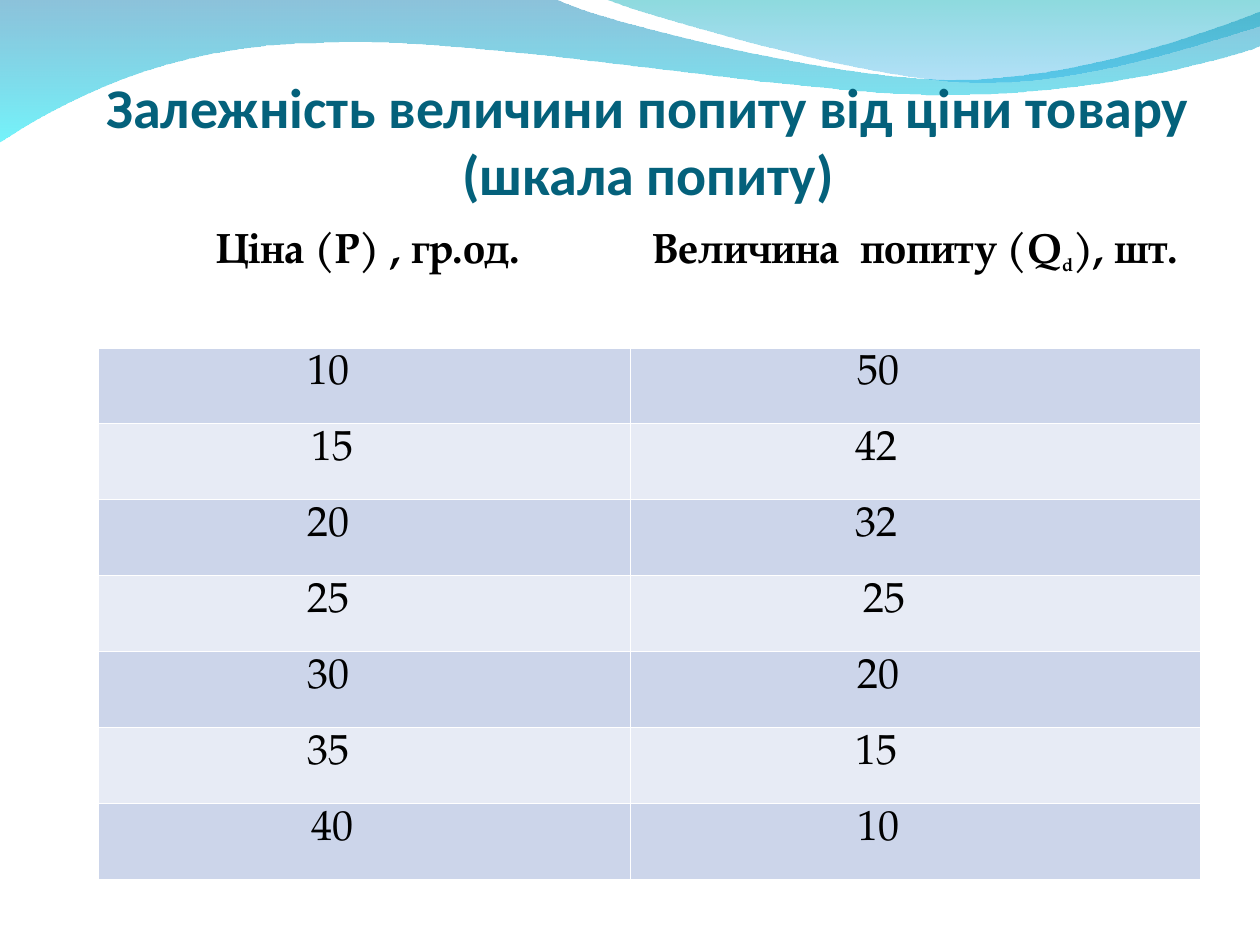
from lxml import etree
from pptx import Presentation
from pptx.dml.color import RGBColor
from pptx.enum.lang import MSO_LANGUAGE_ID
from pptx.enum.text import MSO_ANCHOR, MSO_AUTO_SIZE, PP_ALIGN
from pptx.oxml.ns import qn
from pptx.util import Inches, Pt

CENTER, LEFT = PP_ALIGN.CENTER, PP_ALIGN.LEFT
BOTTOM, NO_FIT = MSO_ANCHOR.BOTTOM, MSO_AUTO_SIZE.NONE
UKRAINIAN = MSO_LANGUAGE_ID.UKRAINIAN

COLORS = {
    "title": "04617B", "text": "000000", "white": "FFFFFF",
    "band_dark": "CCD5EA", "band_light": "E7EBF5",
    "wave_blue": "0079AF", "wave_cyan": "00EBF8",
    "crest_teal": "00ADB6", "crest_blue": "009BE5",
}
TABLE_FONT = "TeX Gyre Pagella"

# Each wave: start point, segments (2 numbers = line, 6 = cubic curve),
# gradient stops from top to bottom as (colour, opacity in percent).
WAVES = [
    ((0, -0.01),
     [(4.4, -0.01), (4.76, 0.17, 6.64, 0.63, 7.58, 0.63),
      (8.53, 0.63, 9.58, 0.26, 10, 0.09), (10.01, 0.36),
      (9.83, 0.44, 8.7, 0.76, 7.46, 0.75), (6.22, 0.75, 3.82, 0.28, 2.57, 0.34),
      (1.29, 0.35, 0.46, 0.83, -0.01, 1.13)],
     [("wave_blue", 45), ("wave_cyan", 55)]),
    ((4.79, -0.01),
     [(5.09, 0.11, 6.82, 0.62, 7.69, 0.65), (8.56, 0.69, 9.61, 0.32, 10, 0.21),
      (10, 0)],
     [("crest_teal", 45), ("crest_blue", 30)]),
]

HEADINGS = [
    [("Ціна (Р) , гр.од.", 24, None)],
    [("Величина  попиту (Q", 24, None), ("d", 18, -25), ("), шт.", 24, None)],
]
# Price and quantity, each with its indent in inches
DEMAND = [
    ((10, 1.66), (50, 1.81)), ((15, 1.69), (42, 1.79)), ((20, 1.66), (32, 1.79)),
    ((25, 1.66), (25, 1.85)), ((30, 1.66), (20, 1.81)), ((35, 1.66), (15, 1.79)),
    ((40, 1.69), (10, 1.81)),
]
TABLE_HEIGHT, HEADER_HEIGHT = 5.18, 0.96


def bend_segments(wave, segments):
    """Replace the straight segments that stand for cubic curves."""
    for line, segment in zip(list(wave._element.iter(qn("a:lnTo"))), segments):
        if len(segment) == 6:
            curve = etree.Element(qn("a:cubicBezTo"))
            for x, y in zip(segment[::2], segment[1::2]):
                point = etree.SubElement(curve, qn("a:pt"))
                point.set("x", str(Inches(x) - wave.left))
                point.set("y", str(Inches(y) - wave.top))
            line.getparent().replace(line, curve)


def add_span(para, text, size, font, color, bold):
    span = para.add_run()
    span.text = text
    span.font.size = Pt(size)
    span.font.name = font
    span.font.bold = bold
    span.font.language_id = UKRAINIAN
    span.font.color.rgb = RGBColor.from_string(COLORS[color])
    return span


deck = Presentation()
deck.slide_width, deck.slide_height = Inches(10), Inches(7.5)
page = deck.slides.add_slide(deck.slide_layouts[5])

# Waves along the top edge
for start, segments, stops in WAVES:
    builder = page.shapes.build_freeform(Inches(start[0]), Inches(start[1]), scale=1.0)
    ends = [(Inches(segment[-2]), Inches(segment[-1])) for segment in segments]
    builder.add_line_segments(ends, close=True)
    wave = builder.convert_to_shape()
    bend_segments(wave, segments)
    wave.shadow.inherit = False
    wave.line.fill.background()
    wave.fill.gradient()
    wave.fill.gradient_angle = 270
    for stop, (color, opacity) in zip(wave.fill.gradient_stops, stops):
        stop.color.rgb = RGBColor.from_string(COLORS[color])
    for node, (color, opacity) in zip(wave._element.spPr.iter(qn("a:srgbClr")), stops):
        etree.SubElement(node, qn("a:alpha")).set("val", str(opacity * 1000))

# Title, in front of the waves
title = page.shapes.title
page.shapes._spTree.append(title._element)
title.left, title.top = Inches(0.55), Inches(0.47)
title.width, title.height = Inches(9.19), Inches(1.17)
frame = title.text_frame
frame.word_wrap, frame.auto_size, frame.vertical_anchor = True, NO_FIT, BOTTOM
frame.margin_left = frame.margin_right = frame.margin_bottom = 0
frame.margin_top = Inches(0.05)
para = frame.paragraphs[0]
para.alignment = CENTER
add_span(para, "Залежність величини попиту від ціни товару", 32, "Calibri", "title", True)
para.add_line_break()
add_span(para, "(шкала попиту)", 32, "Calibri", "title", True)

# Demand table
table = page.shapes.add_table(len(DEMAND) + 1, 2, Inches(0.78), Inches(1.8),
                              Inches(8.75), Inches(TABLE_HEIGHT)).table
for column, width in zip(table.columns, (4.22, 4.53)):
    column.width = Inches(width)
row_height = (TABLE_HEIGHT - HEADER_HEIGHT) / len(DEMAND)
for index, row in enumerate(table.rows):
    row.height = Inches(row_height if index else HEADER_HEIGHT)

for column, spans in enumerate(HEADINGS):
    cell = table.cell(0, column)
    para = cell.text_frame.paragraphs[0]
    para.alignment = CENTER if column else LEFT
    if column == 0:
        cell.margin_left = Inches(0.94)
    for text, size, baseline in spans:
        span = add_span(para, text, size, TABLE_FONT, "text", True)
        if baseline:
            span.font._element.set("baseline", str(baseline * 1000))

for index, values in enumerate(DEMAND, start=1):
    for column, (value, indent) in enumerate(values):
        cell = table.cell(index, column)
        cell.margin_left = Inches(indent)
        para = cell.text_frame.paragraphs[0]
        para.alignment = LEFT
        add_span(para, str(value), 24, TABLE_FONT, "text", False)

for index, row in enumerate(table.rows):
    band = "white" if index == 0 else ("band_light", "band_dark")[index % 2]
    for cell in row.cells:
        properties = cell._tc.get_or_add_tcPr()
        for side in ("L", "R", "T", "B"):
            thick = (index, side) in ((0, "B"), (1, "T"))
            border = etree.SubElement(properties, qn("a:ln" + side))
            border.set("w", str(Pt(1.47 if thick else 0.45)))
            fill = etree.SubElement(border, qn("a:solidFill"))
            etree.SubElement(fill, qn("a:srgbClr")).set("val", COLORS["white"])
        cell.fill.solid()
        cell.fill.fore_color.rgb = RGBColor.from_string(COLORS[band])

deck.save("out.pptx")
